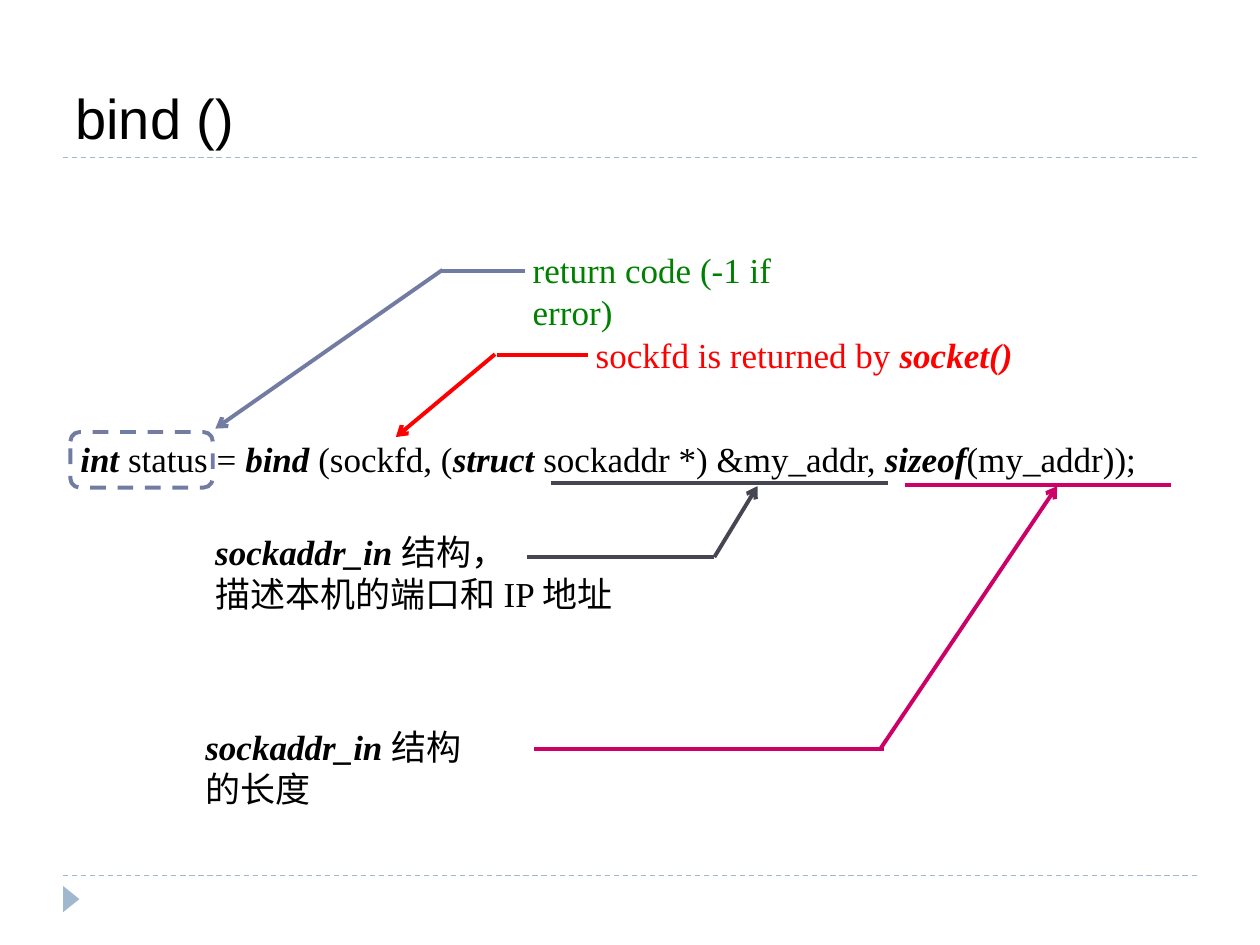
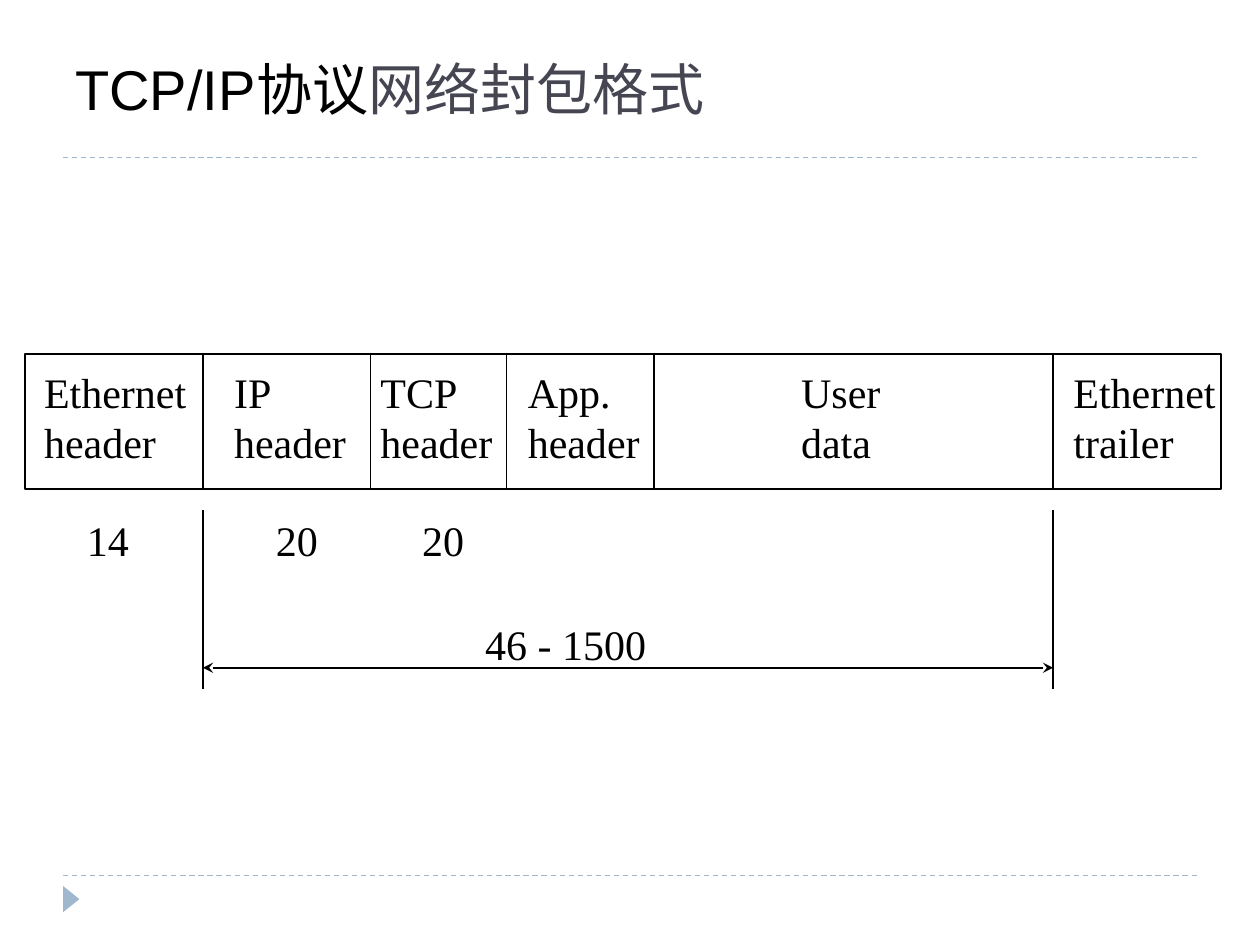
"""Builds two slides on bind() and the TCP/IP packet layout."""
import pptx
import pptx.dml.color
import pptx.enum.dml
import pptx.enum.shapes
import pptx.enum.text
import pptx.oxml.ns
import pptx.oxml.xmlchemy
import pptx.util
from lxml import etree
from pptx.util import Cm

COLORS = {
    "ink": "000000",
    "slate": "464653",
    "rule": "9FB8CD",
    "indigo": "727CA3",
    "magenta": "CC0066",
    "green": "008000",
    "red": "FF0000",
}
SHAPES = pptx.enum.shapes.MSO_SHAPE
ANCHOR = pptx.enum.text.MSO_ANCHOR
qn = pptx.oxml.ns.qn


def rgb(name):
    return pptx.dml.color.RGBColor.from_string(COLORS[name])


class SlideWriter:
    title_font = "Arial"
    body_font = "Times New Roman"

    def __init__(self):
        self.deck = pptx.Presentation()
        self.deck.slide_width, self.deck.slide_height = Cm(25.4), Cm(19.05)
        self.page = None

    def start_page(self):
        self.page = self.deck.slides.add_slide(self.deck.slide_layouts[6])
        for y in (17.65, 3.18):
            self.line((1.27, y), (24.13, y), "rule", 0.75, dashed=True)
        self.shape(SHAPES.ISOSCELES_TRIANGLE, (1.17, 17.96, 0.53, 0.33), fill="rule").rotation = 90

    def stroke(self, line, color, width, dashed=False):
        line.color.rgb = rgb(color)
        line.width = pptx.util.Pt(width)
        if dashed:
            line.dash_style = pptx.enum.dml.MSO_LINE.DASH

    def line(self, start, end, color, width=2.25, dashed=False, head=None, tail=None):
        connector = self.page.shapes.add_connector(
            pptx.enum.shapes.MSO_CONNECTOR.STRAIGHT, *map(Cm, start + end))
        self.stroke(connector.line, color, width, dashed)
        properties = connector.element.spPr
        outline = properties.find(qn("a:ln"))
        for tag, kind in (("a:headEnd", head), ("a:tailEnd", tail)):
            if kind:
                etree.SubElement(outline, qn(tag), type=kind)
        etree.SubElement(properties, qn("a:effectLst"))

    def shape(self, kind, area, fill=None, outline=None, width=1, dashed=False):
        shape = self.page.shapes.add_shape(kind, *map(Cm, area))
        shape.shadow.inherit = False
        if fill:
            shape.fill.solid()
            shape.fill.fore_color.rgb = rgb(fill)
        else:
            shape.fill.background()
        if outline:
            self.stroke(shape.line, outline, width, dashed)
        else:
            shape.line.fill.background()
        return shape

    def text(self, area, lines, size=20, color="ink", font=body_font, wrap=False,
             anchor=ANCHOR.TOP, accent=None):
        box = self.page.shapes.add_textbox(*map(Cm, area))
        frame = box.text_frame
        frame.word_wrap = wrap
        frame.vertical_anchor = anchor
        for index, content in enumerate(lines):
            para = frame.add_paragraph() if index else frame.paragraphs[0]
            para.font.name = font
            para.font.size = pptx.util.Pt(size)
            para.font.color.rgb = rgb(color)
            for position, piece in enumerate(content.split("|")):
                if not piece:
                    continue
                span = para.add_run()
                span.text = piece
                if position % 2 and accent:
                    span.font.color.rgb = rgb(accent)
                elif position % 2:
                    span.font.bold = span.font.italic = True

    def title(self, content, top, height, anchor):
        self.text((1.27, top, 22.86, height), [content], 32, font=self.title_font,
                  wrap=True, anchor=anchor, accent="slate")

    def callout(self, color, shelf_start, shelf_end, arrow_start, target):
        self.line(shelf_start, shelf_end, color)
        self.line(arrow_start, target, color, tail="arrow")


def build_bind(writer):
    writer.start_page()
    writer.text((1.37, 8.69, 21.82, 1.12), [
        "|int| status = |bind| (sockfd, (|struct| sockaddr *) &my_addr, |sizeof|(my_addr));"])

    writer.text((4.09, 10.57, 8.56, 2.79),
                ["|sockaddr_in |结构，", "描述本机的端口和 IP 地址"], wrap=True)
    writer.line((11.1, 9.73), (17.91, 9.73), "slate")
    writer.callout("slate", (10.62, 11.23), (14.4, 11.23), (14.4, 11.23), (15.27, 9.8))

    writer.text((3.89, 14.5, 6.3, 1.96), ["|sockaddr_in |结构的长度"], wrap=True)
    writer.line((18.24, 9.78), (23.6, 9.78), "magenta")
    writer.callout("magenta", (10.77, 15.09), (17.83, 15.09), (17.75, 15.09), (21.31, 9.8))

    writer.shape(SHAPES.ROUNDED_RECTANGLE, (1.42, 8.71, 2.87, 1.12),
                 outline="indigo", width=2.25, dashed=True)
    writer.text((10.49, 4.88, 7.09, 1.12), ["return code (-1 if error)"], color="green")
    writer.callout("indigo", (10.59, 5.46), (8.92, 5.46), (8.92, 5.44), (4.34, 8.64))

    writer.text((11.76, 6.6, 8.92, 1.12), ["sockfd is returned by |socket()"], color="red")
    writer.callout("red", (11.86, 7.16), (10.01, 7.16), (9.98, 7.14), (7.98, 8.81))
    writer.title("bind ()", 0.43, 2.74, ANCHOR.BOTTOM)


def build_packet(writer):
    writer.start_page()
    writer.title("TCP/IP协议|网络封包格式", 0.86, 1.83, ANCHOR.MIDDLE)

    fields = [
        (0.64, 3.38, "Ethernet", "header"),
        (4.47, 2.77, "IP", "header"),
        (7.42, 2.77, "TCP", "header"),
        (10.39, 2.77, "App.", "header"),
        (15.9, 2.31, "User", "data"),
        (21.39, 3.38, "Ethernet", "trailer"),
    ]
    for left, width, *words in fields:
        writer.text((left, 7.26, width, 2.29), words, 24)

    writer.shape(SHAPES.RECTANGLE, (0.51, 7.14, 24.1, 2.72), outline="ink")
    dividers = (4.09, 7.47, 10.21, 13.18, 21.23)
    for x in dividers:
        writer.line((x, 7.11), (x, 9.86), "ink", 1)

    for left, length in ((1.5, "14"), (5.31, "20"), (8.26, "20")):
        writer.text((left, 10.24, 1.37, 1.27), [length], 24)

    writer.text((9.53, 12.34, 3.76, 1.27), ["46 - 1500"], 24)
    payload_start, payload_end = dividers[0], dividers[-1]
    for x in (payload_start, payload_end):
        writer.line((x, 10.29), (x, 13.89), "ink", 1)
    writer.line((payload_start, 13.46), (payload_end, 13.46), "ink", 1,
                head="stealth", tail="stealth")


def main():
    writer = SlideWriter()
    build_bind(writer)
    build_packet(writer)
    writer.deck.save("out.pptx")


if __name__ == "__main__":
    main()
